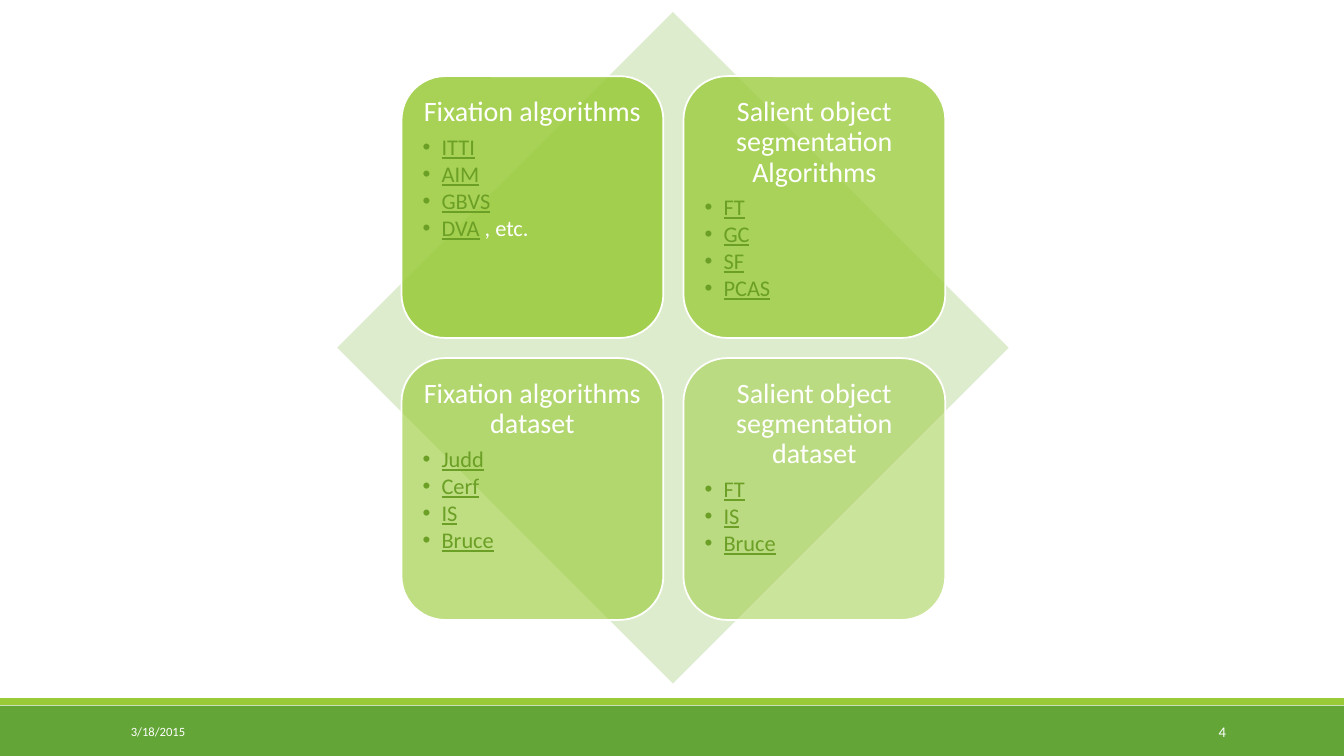
from dataclasses import dataclass

from lxml import etree
from pptx import Presentation
from pptx.dml.color import RGBColor
from pptx.enum import shapes, text
from pptx.oxml import ns
from pptx.util import Pt

WHITE = RGBColor(0xFF, 0xFF, 0xFF)
GREEN = RGBColor(0x63, 0xA5, 0x37)
LIME = RGBColor(0x99, 0xCB, 0x38)
PALE = RGBColor(0xDE, 0xEC, 0xCE)
LINK = RGBColor(0x6B, 0x9F, 0x25)
FACE = "Calibri"
WIDE, HIGH = 960, 540
LEFT, TOP, SIDE, PITCH = 286.8, 54.4, 187, 201.4


@dataclass
class Card:
    title: str
    links: list[str]
    alpha: int
    tail: str = ""


@dataclass
class Panel:
    kind: shapes.MSO_SHAPE
    left: float
    top: float
    width: float
    height: float
    fill: RGBColor


@dataclass
class Label:
    words: str
    left: float
    width: float
    size: float
    align: text.PP_ALIGN


CARDS = [
    Card("Fixation algorithms", ["ITTI", "AIM", "GBVS", "DVA"], 85, " , etc."),
    Card("Salient object segmentation Algorithms", ["FT", "GC", "SF", "PCAS"], 77),
    Card("Fixation algorithms dataset", ["Judd", "Cerf", "IS", "Bruce"], 63),
    Card("Salient object segmentation dataset", ["FT", "IS", "Bruce"], 50),
]
PANELS = [
    Panel(shapes.MSO_SHAPE.RECTANGLE, 0, 504, WIDE, 36, GREEN),
    Panel(shapes.MSO_SHAPE.RECTANGLE, 0, 498.6, WIDE, 5, LIME),
    Panel(shapes.MSO_SHAPE.DIAMOND, 240.9, 8.6, 479.6, 479.6, PALE),
]
LABELS = [
    Label("3/18/2015", 86.4, 194.4, 9, text.PP_ALIGN.LEFT),
    Label("4", 779.8, 103, 10.5, text.PP_ALIGN.RIGHT),
]


def style(para, size: float, color: RGBColor) -> None:
    font = para.font
    font.name, font.size = FACE, Pt(size)
    font.color.rgb = color


def draw_panel(slide, panel: Panel):
    shape = slide.shapes.add_shape(
        panel.kind, Pt(panel.left), Pt(panel.top), Pt(panel.width), Pt(panel.height))
    shape.shadow.inherit = False
    shape.fill.solid()
    shape.fill.fore_color.rgb = panel.fill
    shape.line.fill.background()
    return shape


def draw_label(slide, label: Label) -> None:
    box = slide.shapes.add_textbox(Pt(label.left), Pt(508.3), Pt(label.width), Pt(28.8))
    frame = box.text_frame
    frame.word_wrap = True
    frame.vertical_anchor = text.MSO_ANCHOR.MIDDLE
    para = frame.paragraphs[0]
    para.text, para.alignment = label.words, label.align
    style(para, label.size, WHITE)


def add_bullet(para) -> None:
    props = para._p.get_or_add_pPr()
    props.set("marL", str(Pt(13.5)))
    props.set("indent", str(-Pt(13.5)))
    tint = etree.SubElement(props, ns.qn("a:buClr"))
    etree.SubElement(tint, ns.qn("a:srgbClr"), val=str(LINK))
    etree.SubElement(props, ns.qn("a:buFont"), typeface="Arial")
    etree.SubElement(props, ns.qn("a:buChar"), char="•")


def add_link(frame, word: str, tail: str) -> None:
    para = frame.add_paragraph()
    add_bullet(para)
    para.alignment = text.PP_ALIGN.LEFT
    para.line_spacing, para.space_after = 0.9, Pt(2)
    style(para, 16, LINK)
    link = para.add_run()
    link.text = word
    link.font.underline = True
    if tail:
        rest = para.add_run()
        rest.text = tail
        rest.font.color.rgb = WHITE


def draw_card(slide, card: Card, row: int, col: int) -> None:
    shape = draw_panel(slide, Panel(
        shapes.MSO_SHAPE.ROUNDED_RECTANGLE, LEFT + col * PITCH, TOP + row * PITCH,
        SIDE, SIDE, LIME))
    tint = shape.fill._xPr.find(".//" + ns.qn("a:srgbClr"))
    etree.SubElement(tint, ns.qn("a:alpha"), val=str(card.alpha * 1000))
    shape.line.color.rgb = WHITE
    shape.line.width = Pt(1.25)
    frame = shape.text_frame
    frame.word_wrap = True
    frame.vertical_anchor = text.MSO_ANCHOR.TOP
    frame.margin_left = frame.margin_right = Pt(6)
    frame.margin_top = frame.margin_bottom = Pt(6)
    head = frame.paragraphs[0]
    head.text, head.alignment = card.title, text.PP_ALIGN.CENTER
    head.line_spacing, head.space_after = 0.9, Pt(6)
    style(head, 20, WHITE)
    for word in card.links:
        add_link(frame, word, card.tail if word == card.links[-1] else "")


def main() -> None:
    deck = Presentation()
    deck.slide_width, deck.slide_height = Pt(WIDE), Pt(HIGH)
    slide = deck.slides.add_slide(deck.slide_layouts[6])
    for panel in PANELS:
        draw_panel(slide, panel)
    for label in LABELS:
        draw_label(slide, label)
    for spot, card in enumerate(CARDS):
        draw_card(slide, card, *divmod(spot, 2))
    deck.save("out.pptx")


if __name__ == "__main__":
    main()
